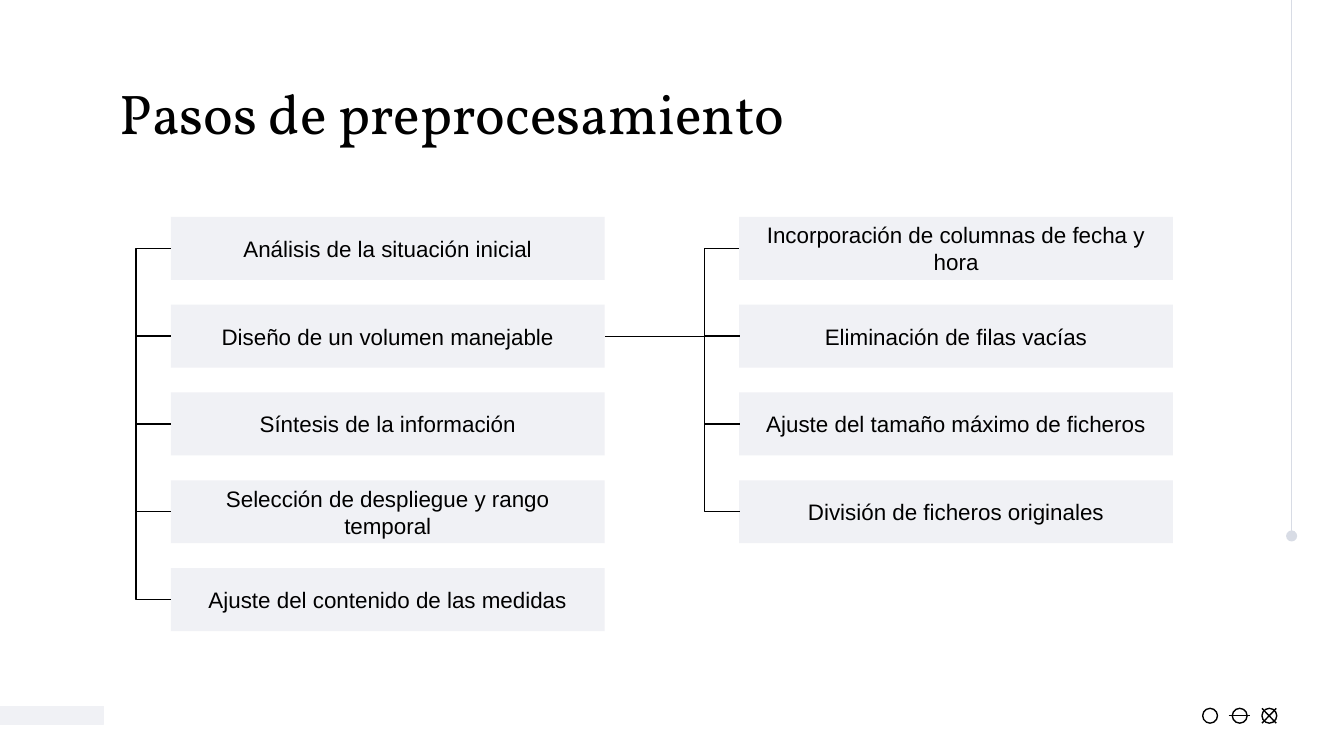
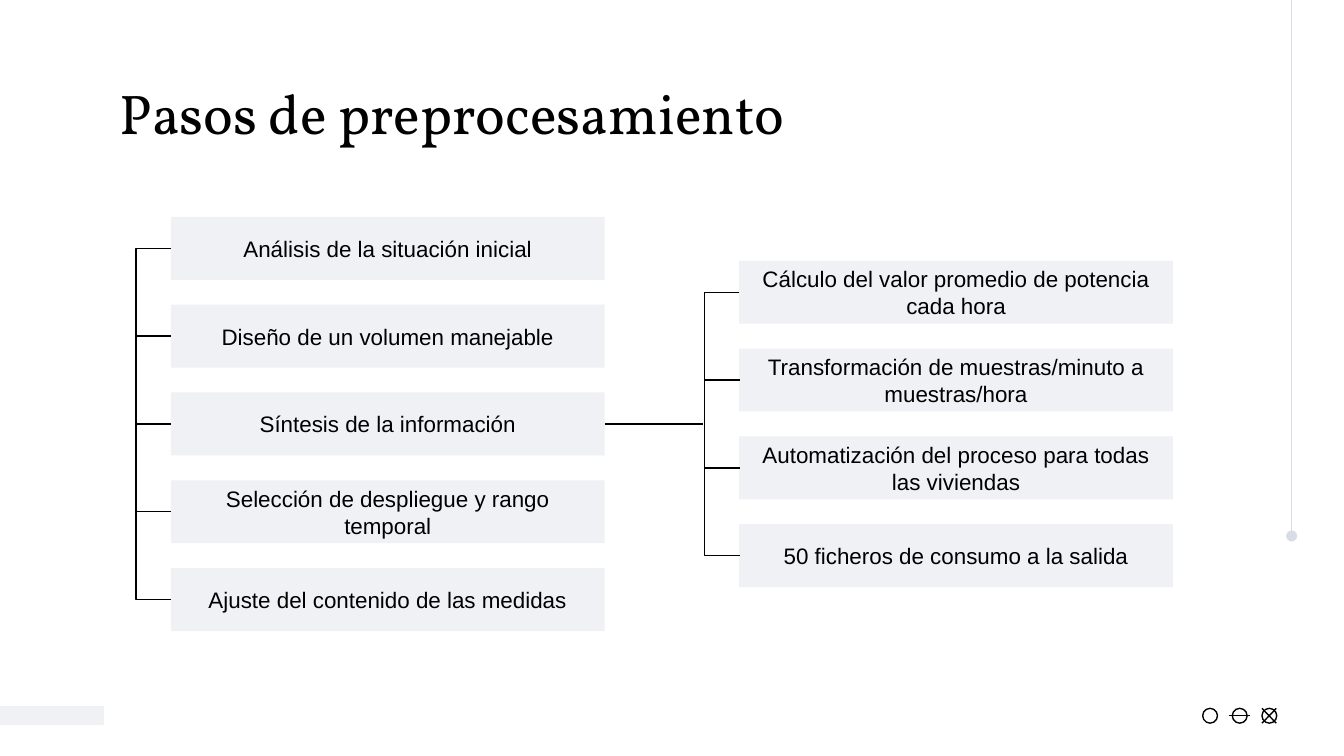
from lxml import etree
from pptx import Presentation
from pptx import util as u
from pptx.dml import color as dml
from pptx.enum import shapes, text
from pptx.oxml import ns

BLACK, PALE, GREY = "000000", "F0F1F5", "D8DCE5"
RECTANGLE, OVAL = shapes.MSO_SHAPE.RECTANGLE, shapes.MSO_SHAPE.OVAL
STRAIGHT, ELBOW = shapes.MSO_CONNECTOR.STRAIGHT, shapes.MSO_CONNECTOR.ELBOW
BOX_WIDTH, BOX_HEIGHT, PITCH, TOP = 8.2, 1.19, 1.66, 4.1
LEFT_X, RIGHT_X = 3.23, 13.97
BRACKET_REACH, BRACKET_WIDTH = 0.66, 0.01
TITLE = "Pasos de preprocesamiento"
STEPS = [
    "Análisis de la situación inicial",
    "Diseño de un volumen manejable",
    "Síntesis de la información",
    "Selección de despliegue y rango temporal",
    "Ajuste del contenido de las medidas",
]
DETAILS = [
    {"step": 1, "top": TOP, "stem_end": 13.51, "tasks": [
        "Incorporación de columnas de fecha y hora",
        "Eliminación de filas vacías",
        "Ajuste del tamaño máximo de ficheros",
        "División de ficheros originales",
    ]},
    {"step": 2, "top": TOP + PITCH / 2, "stem_end": 13.28, "tasks": [
        "Cálculo del valor promedio de potencia cada hora",
        "Transformación de muestras/minuto a muestras/hora",
        "Automatización del proceso para todas las viviendas",
        "50 ficheros de consumo a la salida",
    ]},
]


def add_block(parent, kind, left, top, width, height, fill=None, line=None):
    shape = parent.add_shape(kind, u.Cm(left), u.Cm(top), u.Cm(width), u.Cm(height))
    shape.shadow.inherit = False
    for fill_format, color in ((shape.fill, fill), (shape.line.fill, line)):
        if color:
            fill_format.solid()
            fill_format.fore_color.rgb = dml.RGBColor.from_string(color)
        else:
            fill_format.background()
    if line:
        shape.line.width = u.Pt(0.75)
    return shape


def add_line(parent, kind, x1, y1, x2, y2, color=BLACK):
    connector = parent.add_connector(kind, u.Cm(x1), u.Cm(y1), u.Cm(x2), u.Cm(y2))
    connector.line.color.rgb = dml.RGBColor.from_string(color)
    connector.line.width = u.Pt(0.75)
    etree.SubElement(connector._element.spPr, ns.qn("a:effectLst"))
    return connector


presentation = Presentation()
presentation.slide_width, presentation.slide_height = u.Cm(25.4), u.Cm(14.29)

for detail in DETAILS:
    slide = presentation.slides.add_slide(presentation.slide_layouts[6])

    add_block(slide.shapes, RECTANGLE, 0, 13.36, 1.96, 0.33, PALE, PALE)
    icons = slide.shapes.add_group_shape().shapes
    for index in range(3):
        add_block(icons, OVAL, 22.73 + 0.56 * index, 13.39, 0.28, 0.28, line=BLACK)
    add_line(icons, STRAIGHT, 23.22, 13.53, 23.62, 13.53)
    add_line(icons, STRAIGHT, 23.85, 13.67, 24.12, 13.39)
    add_line(icons, STRAIGHT, 24.12, 13.67, 23.85, 13.39)
    side_line = add_line(slide.shapes, STRAIGHT, 24.41, -0.05, 24.41, 10.13, GREY)
    outline = side_line._element.xpath(".//a:ln")[0]
    etree.SubElement(outline, ns.qn("a:tailEnd"), type="oval")

    title = slide.shapes.add_textbox(u.Cm(2.01), u.Cm(1.24), u.Cm(21.41), u.Cm(1.6))
    frame = title.text_frame
    frame.word_wrap = True
    frame.margin_top = frame.margin_bottom = u.Cm(0.25)
    paragraph = frame.paragraphs[0]
    paragraph.text = TITLE
    paragraph.font.name, paragraph.font.size = "Vollkorn", u.Pt(30)
    paragraph.font.color.rgb = dml.RGBColor.from_string(BLACK)

    columns = ((LEFT_X, TOP, STEPS), (RIGHT_X, detail["top"], detail["tasks"]))
    for left, column_top, labels in columns:
        previous = None
        for index, label in enumerate(labels):
            top = column_top + PITCH * index
            box = add_block(slide.shapes, RECTANGLE, left, top, BOX_WIDTH, BOX_HEIGHT, PALE)
            frame = box.text_frame
            frame.word_wrap = True
            frame.vertical_anchor = text.MSO_ANCHOR.MIDDLE
            frame.margin_left = frame.margin_right = u.Cm(0.25)
            frame.margin_top = frame.margin_bottom = u.Cm(0.25)
            paragraph = frame.paragraphs[0]
            paragraph.text = label
            paragraph.alignment = text.PP_ALIGN.CENTER
            paragraph.font.name, paragraph.font.size = "Arial", u.Pt(12)
            paragraph.font.color.rgb = dml.RGBColor.from_string(BLACK)

            if previous is not None:
                middle = top + BOX_HEIGHT / 2
                bracket = add_line(slide.shapes, ELBOW, left, middle - PITCH, left, middle)
                bracket.begin_connect(previous, 1)
                bracket.end_connect(box, 1)
                bracket.width = u.Cm(BRACKET_WIDTH)
                reach = round(-100000 * BRACKET_REACH / BRACKET_WIDTH)
                adjustments = bracket._element.xpath(".//a:avLst")[0]
                etree.SubElement(adjustments, ns.qn("a:gd"), name="adj1", fmla=f"val {reach}")
            previous = box

    stem_y = TOP + PITCH * detail["step"] + BOX_HEIGHT / 2
    add_line(slide.shapes, STRAIGHT, LEFT_X + BOX_WIDTH, stem_y, detail["stem_end"], stem_y)

presentation.save("out.pptx")
